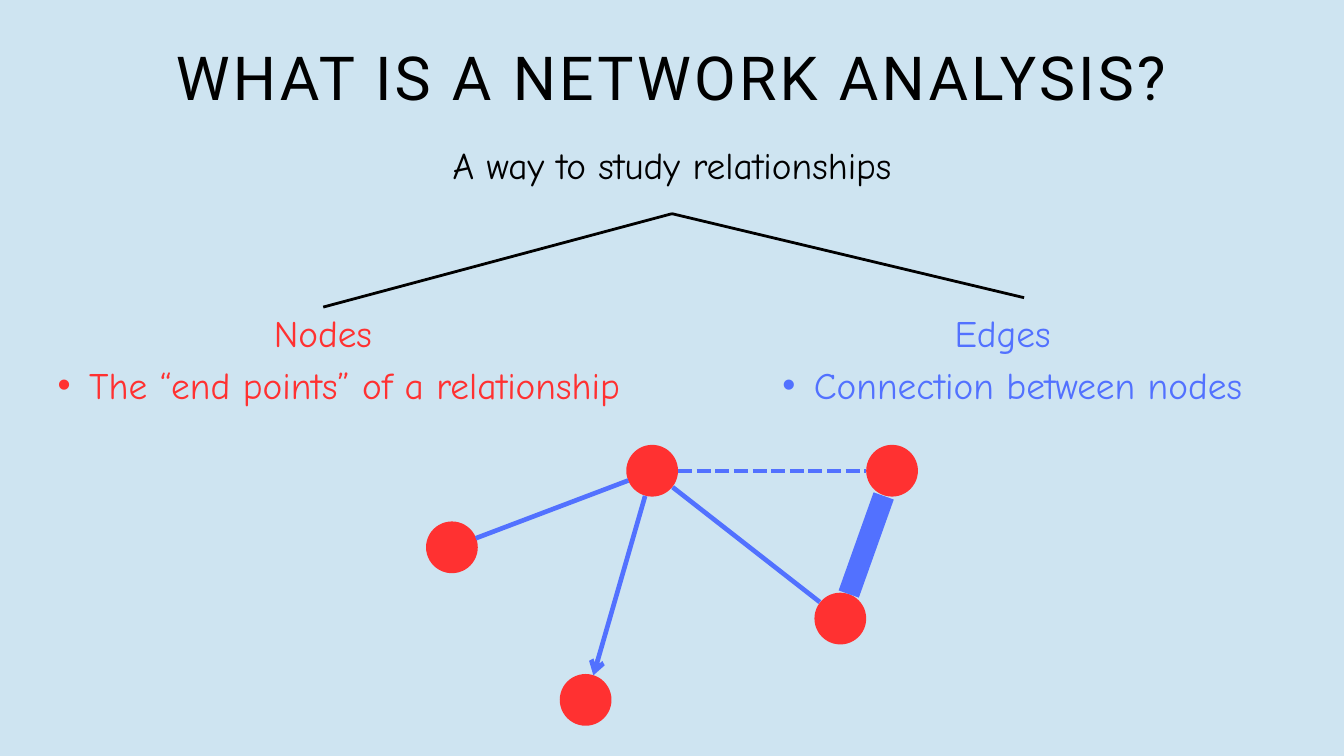
"""Build a slide that explains nodes and edges in a network analysis."""
import dataclasses
import typing

import lxml.etree
import pptx
import pptx.dml.color
import pptx.enum.dml
import pptx.enum.shapes
import pptx.enum.text
import pptx.oxml.ns
import pptx.util

Inches = pptx.util.Inches
Pt = pptx.util.Pt
Point = tuple[float, float]

COLORS = {"sky": "CEE4F1", "ink": "000000", "node": "FF3131", "edge": "5271FF"}
SIZE = 0.77
FRAME = {
    "margin_left": 0,
    "margin_top": 0,
    "margin_right": 0,
    "margin_bottom": 0,
    "word_wrap": True,
    "auto_size": pptx.enum.text.MSO_AUTO_SIZE.SHAPE_TO_FIT_TEXT,
}


@dataclasses.dataclass
class Label:
    box: tuple[float, float, float, float]
    text: str
    color: str
    bullet: str = ""
    font: str = "Comic Neue"
    size: int = 40
    pitch: int = 56
    track: int = 0


@dataclasses.dataclass
class Link:
    start: Point
    end: Point
    color: str = "edge"
    width: int = 5
    dash: bool = False
    head: bool = False


LABELS = [
    Label((0, 4.5, 9.61, 1.5), "Nodes", "node", "The “end points” of a relationship"),
    Label((1.6, 0.57, 16.79, 1.1), "WHAT IS A NETWORK ANALYSIS?", "ink",
          font="Roboto", size=65, pitch=80, track=340),
    Label((6.33, 2.01, 7.34, 0.73), "A way to study relationships", "ink"),
    Label((10.97, 4.5, 7.9, 1.5), "Edges", "edge", "Connection between nodes "),
]
NODES = [(6.34, 7.76), (12.12, 8.82), (8.33, 10.03), (12.89, 6.62), (9.32, 6.62)]
LINKS = [
    Link((4.81, 4.57), (10, 3.18), "ink", 3),
    Link((15.24, 4.43), (10, 3.18), "ink", 3),
    Link((10.09, 7.01), (12.89, 7.01), dash=True),
    Link((8.83, 10.05), (9.6, 7.38), head=True),
    Link((7.08, 8.01), (9.35, 7.15)),
    Link((10.01, 7.25), (12.2, 8.96)),
    Link((12.63, 8.84), (13.15, 7.38), width=23),
]


def apply(target: typing.Any, values: dict[str, typing.Any]) -> None:
    """Set each format value on the target."""
    for name, value in values.items():
        setattr(target, name, value)


def shade(name: str) -> pptx.dml.color.RGBColor:
    """Look up a named colour."""
    return pptx.dml.color.RGBColor.from_string(COLORS[name])


def add_tag(parent: typing.Any, name: str, **values: str) -> None:
    """Append a drawing element."""
    lxml.etree.SubElement(parent, pptx.oxml.ns.qn(name), values)


def add_bullet(para: typing.Any) -> None:
    """Give a paragraph a hanging bullet."""
    para.level = 1
    props = para._p.get_or_add_pPr()
    props.set("marL", str(Inches(0.94)))
    props.set("indent", str(Inches(-0.47)))
    add_tag(props, "a:buFont", typeface="Arial")
    add_tag(props, "a:buChar", char="•")


def add_label(slide: typing.Any, label: Label) -> None:
    """Write a label and its bullet, if any."""
    frame = slide.shapes.add_textbox(*map(Inches, label.box)).text_frame
    apply(frame, FRAME)
    lines = [line for line in (label.text, label.bullet) if line]
    for index, line in enumerate(lines):
        para = frame.add_paragraph() if index else frame.paragraphs[0]
        apply(para, {"alignment": pptx.enum.text.PP_ALIGN.CENTER,
                     "line_spacing": Pt(label.pitch)})
        if index:
            add_bullet(para)
        run = para.add_run()
        run.text = line
        apply(run.font, {"name": label.font, "size": Pt(label.size)})
        run.font.color.rgb = shade(label.color)
        if label.track:
            run._r.get_or_add_rPr().set("spc", str(label.track))


def add_node(slide: typing.Any, spot: Point) -> None:
    """Draw a round node."""
    oval = pptx.enum.shapes.MSO_SHAPE.OVAL
    node = slide.shapes.add_shape(oval, *map(Inches, (*spot, SIZE, SIZE)))
    node.shadow.inherit = False
    node.fill.solid()
    node.fill.fore_color.rgb = shade("node")
    node.line.fill.background()


def add_link(slide: typing.Any, link: Link) -> None:
    """Draw a straight line with its dash and head."""
    kind = pptx.enum.shapes.MSO_CONNECTOR.STRAIGHT
    wire = slide.shapes.add_connector(kind, *map(Inches, (*link.start, *link.end)))
    wire.line.width = Pt(link.width)
    wire.line.color.rgb = shade(link.color)
    if link.dash:
        wire.line.dash_style = pptx.enum.dml.MSO_LINE.SQUARE_DOT
    if link.head:
        add_tag(wire.line._get_or_add_ln(), "a:headEnd", type="arrow")
    add_tag(wire._element.spPr, "a:effectLst")


def main() -> None:
    """Build and save the slide."""
    deck = pptx.Presentation()
    apply(deck, {"slide_width": Inches(20), "slide_height": Inches(11.25)})
    slide = deck.slides.add_slide(deck.slide_layouts[6])
    slide.background.fill.solid()
    slide.background.fill.fore_color.rgb = shade("sky")
    for draw, items in ((add_label, LABELS), (add_node, NODES), (add_link, LINKS)):
        for item in items:
            draw(slide, item)
    deck.save("out.pptx")


if __name__ == "__main__":
    main()
